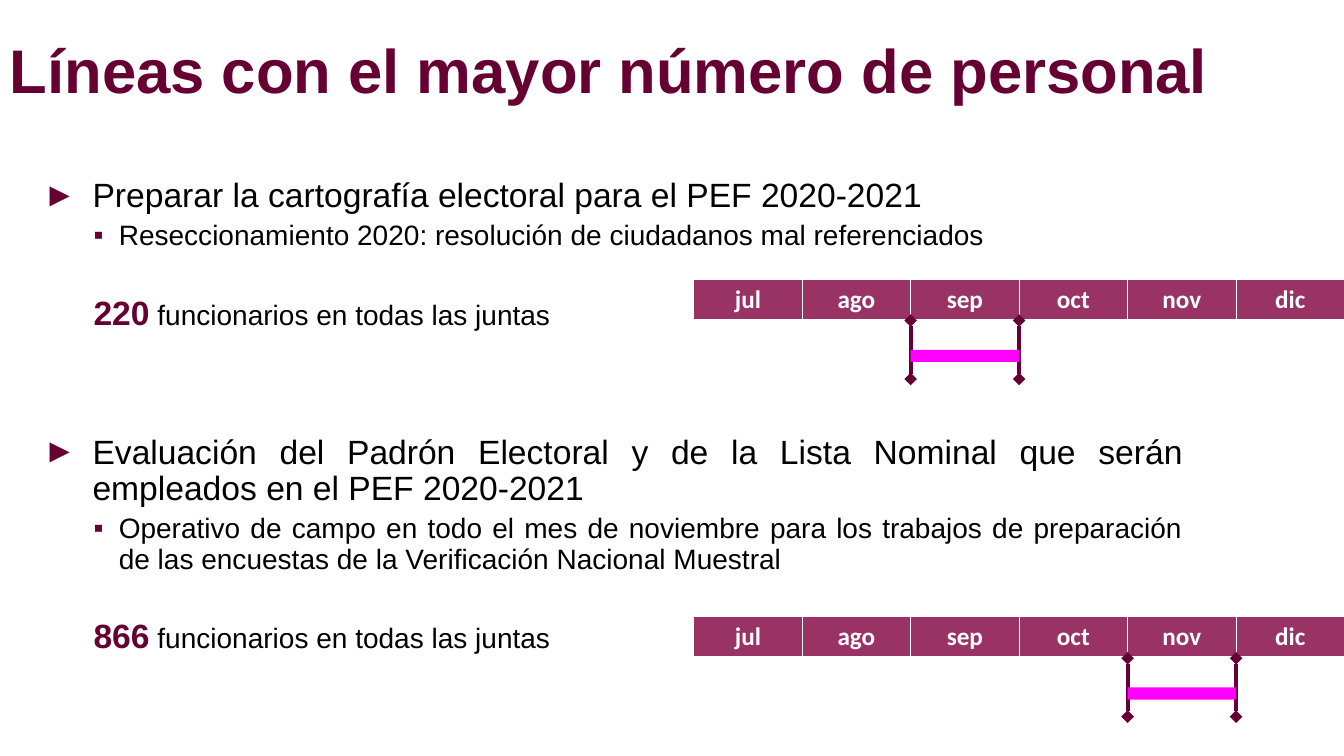
from lxml import etree
from pptx import Presentation
from pptx import util as u
from pptx.dml.color import RGBColor
from pptx.enum import shapes, text
from pptx.oxml import ns

WINE, PLUM, MAGENTA, WHITE, BLACK = "660033", "993366", "FF00FF", "FFFFFF", "000000"

TITLE = "Líneas con el mayor número de personal"
MONTHS = ["jul", "ago", "sep", "oct", "nov", "dic"]
# Each line of work: task, detail, staff, space before the task (pt),
# top of its calendar (in) and the month in which it takes place
WORK_LINES = [
    ("Preparar la cartografía electoral para el PEF 2020-2021",
     "Reseccionamiento 2020: resolución de ciudadanos mal referenciados",
     "220", 10, 2.77, "sep"),
    ("Evaluación del Padrón Electoral y de la Lista Nominal que serán "
     "empleados en el PEF 2020-2021",
     "Operativo de campo en todo el mes de noviembre para los trabajos de "
     "preparación de las encuestas de la Verificación Nacional Muestral",
     "866", 73, 6.12, "nov"),
]
STAFF_NOTE = " funcionarios en todas las juntas"

CALENDAR_LEFT, MONTH_WIDTH, MONTH_HEIGHT = 6.88, 1.076, 0.41
MARKER_HEIGHT, BAR_HEIGHT = 0.58, 0.12


def colour(hex_code):
    return RGBColor.from_string(hex_code)


def add_xml(parent, tag, **attributes):
    return etree.SubElement(parent, ns.qn(tag), **attributes)


def add_run(paragraph, words, size, hex_code=BLACK, bold=False, font="Arial"):
    run = paragraph.add_run()
    run.text = words
    run.font.name, run.font.size, run.font.bold = font, u.Pt(size), bold
    run.font.color.rgb = colour(hex_code)


def add_frame(slide, left, top, width, height):
    frame = slide.shapes.add_textbox(*map(u.Inches, (left, top, width, height))).text_frame
    frame.word_wrap = True
    return frame


def format_paragraph(paragraph, before, margin, hanging=0.0, bullet=None):
    """Justify a paragraph and give it an indent in inches and a bullet."""
    paragraph.alignment = text.PP_ALIGN.JUSTIFY
    paragraph.line_spacing = 0.9
    paragraph.space_before = u.Pt(before)
    properties = paragraph._p.get_or_add_pPr()
    properties.set("marL", str(u.Inches(margin)))
    properties.set("indent", str(-u.Inches(hanging)))
    if bullet:
        add_xml(add_xml(properties, "a:buClr"), "a:srgbClr", val=WINE)
        add_xml(properties, "a:buFont", typeface="Arial")
        add_xml(properties, "a:buChar", char=bullet)


def add_work_lines(slide):
    frame = add_frame(slide, 0.33, 1.72, 11.5, 5.52)
    for number, (task, detail, staff, before, _, _) in enumerate(WORK_LINES):
        heading = frame.add_paragraph() if number else frame.paragraphs[0]
        format_paragraph(heading, before, 0.49, 0.49, "►")
        add_run(heading, task, 24)
        item = frame.add_paragraph()
        format_paragraph(item, 5, 0.75, 0.25, "▪")
        add_run(item, detail, 20)
        total = frame.add_paragraph()
        format_paragraph(total, 32, 0.5)
        add_run(total, staff, 24, WINE, True)
        add_run(total, STAFF_NOTE, 20)


def add_cell_borders(cell):
    properties = cell._tc.get_or_add_tcPr()
    for position, (side, points) in enumerate(
            [("a:lnL", 1), ("a:lnR", 1), ("a:lnT", 1), ("a:lnB", 3)]):
        border = etree.Element(ns.qn(side), w=str(u.Pt(points)))
        add_xml(add_xml(border, "a:solidFill"), "a:srgbClr", val=WHITE)
        properties.insert(position, border)


def add_calendar(slide, top):
    table = slide.shapes.add_table(
        1, len(MONTHS), u.Inches(CALENDAR_LEFT), u.Inches(top),
        u.Inches(MONTH_WIDTH * len(MONTHS)), u.Inches(MONTH_HEIGHT)).table
    for cell, month in zip(table.rows[0].cells, MONTHS):
        cell.fill.solid()
        cell.fill.fore_color.rgb = colour(PLUM)
        add_cell_borders(cell)
        label = cell.text_frame.paragraphs[0]
        label.alignment = text.PP_ALIGN.CENTER
        add_run(label, month, 18, WHITE, True, "Calibri")


def add_marker(slide, x, top):
    marker = slide.shapes.add_connector(
        shapes.MSO_CONNECTOR.STRAIGHT, u.Inches(x), u.Inches(top),
        u.Inches(x), u.Inches(top + MARKER_HEIGHT))
    marker.line.color.rgb = colour(WINE)
    marker.line.width = u.Pt(3)
    outline = marker.line._get_or_add_ln()
    add_xml(outline, "a:headEnd", type="diamond")
    add_xml(outline, "a:tailEnd", type="diamond")
    add_xml(marker._element.spPr, "a:effectLst")


def add_period(slide, calendar_top, month):
    """Mark one month under its calendar with two limits and a bar."""
    start = CALENDAR_LEFT + MONTHS.index(month) * MONTH_WIDTH
    top = calendar_top + MONTH_HEIGHT
    for x in (start, start + MONTH_WIDTH):
        add_marker(slide, x, top)
    bar = slide.shapes.add_shape(
        shapes.MSO_SHAPE.RECTANGLE, u.Inches(start),
        u.Inches(top + MARKER_HEIGHT / 2), u.Inches(MONTH_WIDTH), u.Inches(BAR_HEIGHT))
    bar.shadow.inherit = False
    bar.fill.solid()
    bar.fill.fore_color.rgb = colour(MAGENTA)
    bar.line.fill.background()


def main():
    deck = Presentation()
    deck.slide_width, deck.slide_height = u.Inches(13.33), u.Inches(7.5)
    slide = deck.slides.add_slide(deck.slide_layouts[6])

    title = add_frame(slide, 0, 0, 12.42, 1.45)
    title.vertical_anchor = text.MSO_ANCHOR.MIDDLE
    title.paragraphs[0].line_spacing = 0.9
    add_run(title.paragraphs[0], TITLE, 44, WINE, True)

    add_work_lines(slide)
    for *_, calendar_top, month in WORK_LINES:
        add_calendar(slide, calendar_top)
        add_period(slide, calendar_top, month)
    deck.save("out.pptx")


if __name__ == "__main__":
    main()
